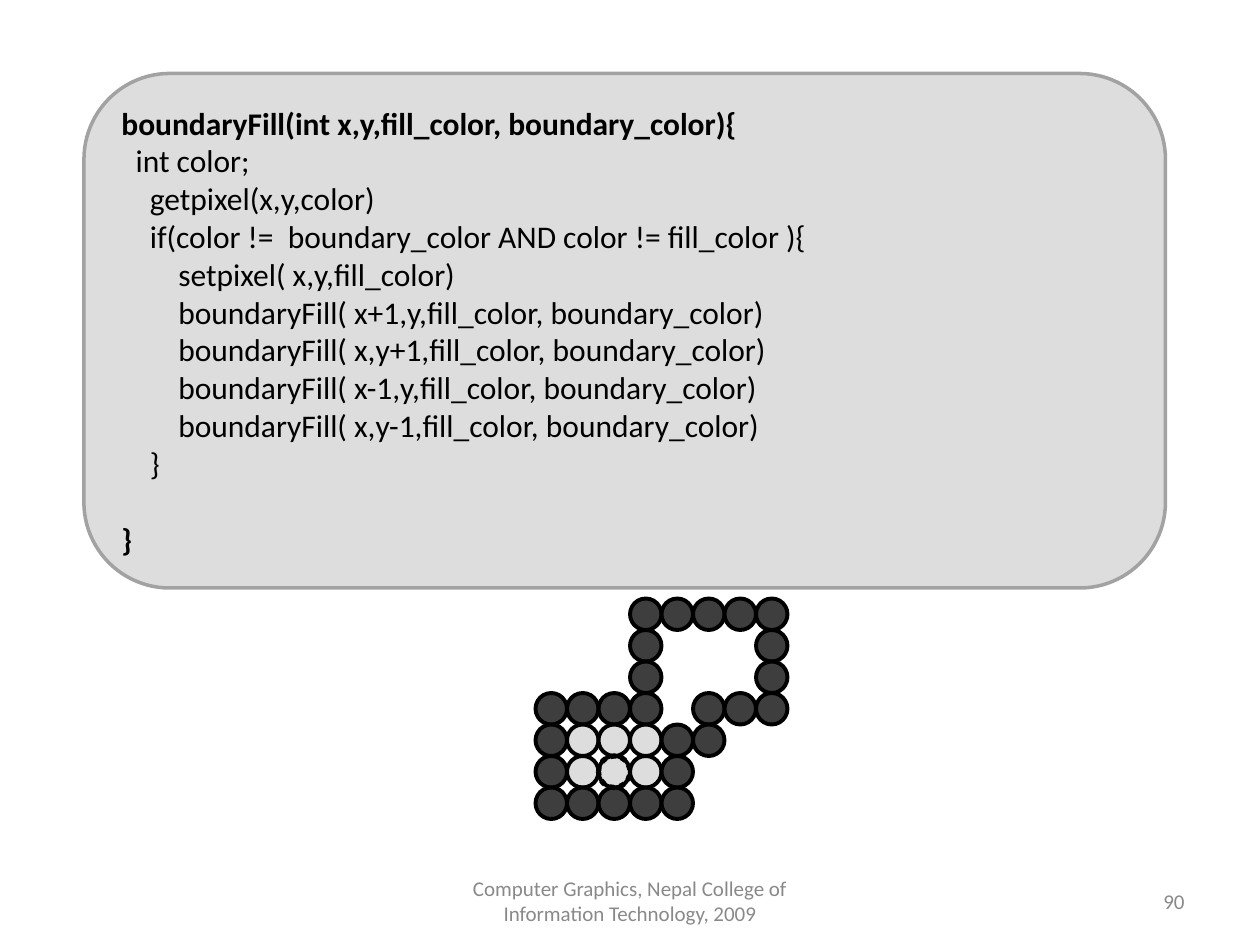
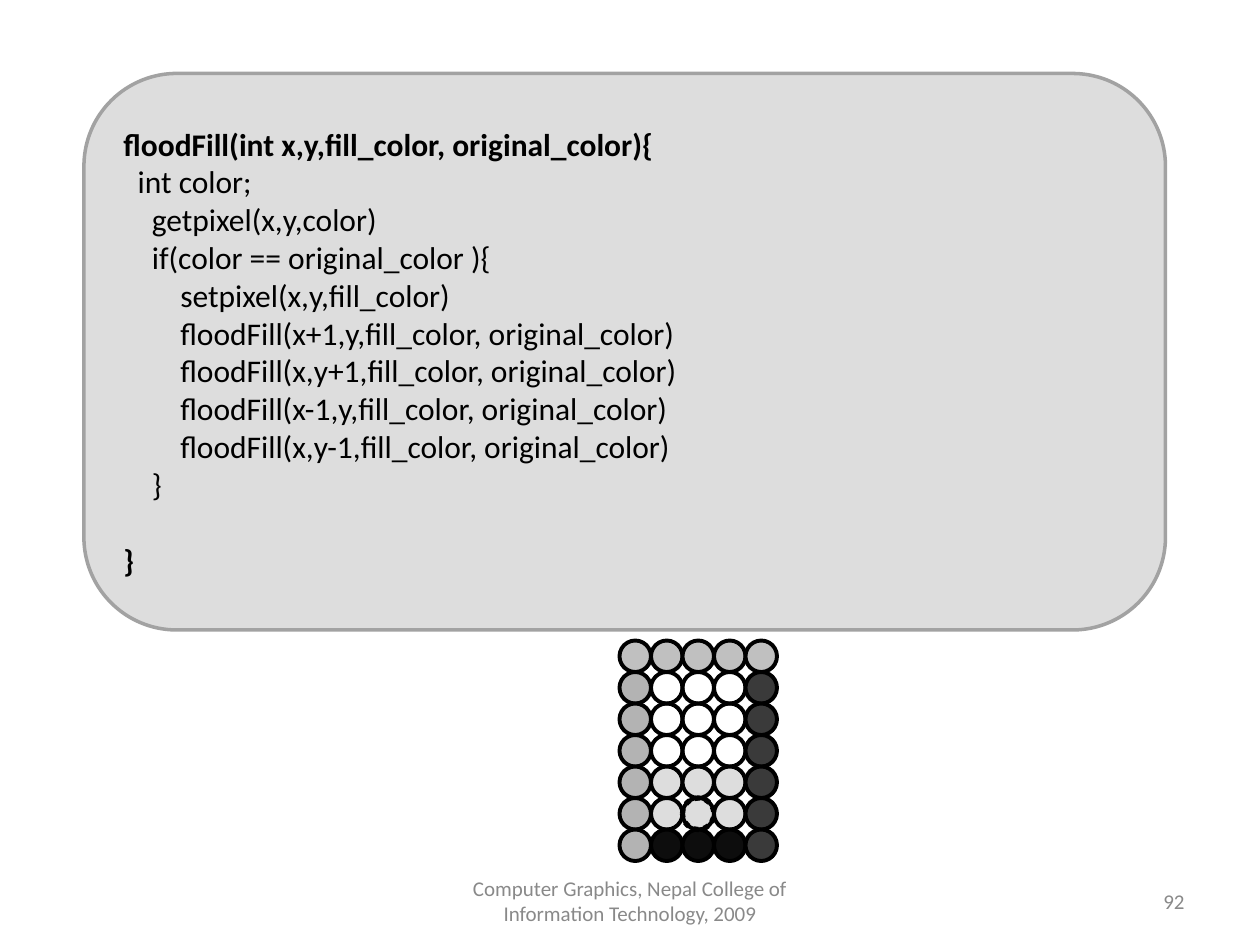
"""Build two slides on boundary fill and flood fill, each with code above a pixel grid."""
import pptx
import pptx.dml.color
import pptx.enum.dml
import pptx.enum.shapes
import pptx.enum.text
import pptx.util

FOOTER = "Computer Graphics, Nepal College of Information Technology, 2009"
SLIDES = [
    {
        "number": "90",
        "panel_height": 490,
        "code": [
            "boundaryFill(int x,y,fill_color, boundary_color){",
            "  int color;",
            "    getpixel(x,y,color)",
            "    if(color !=  boundary_color AND color != fill_color ){",
            "        setpixel( x,y,fill_color)",
            "        boundaryFill( x+1,y,fill_color, boundary_color)",
            "        boundaryFill( x,y+1,fill_color, boundary_color)",
            "        boundaryFill( x-1,y,fill_color, boundary_color)",
            "        boundaryFill( x,y-1,fill_color, boundary_color)",
            "    }",
            "}",
        ],
        "grid_origin": (510, 570),
        "grid": [
            "...#####",
            "...#...#",
            "...#...#",
            "####.###",
            "#ooo##..",
            "#ooo#...",
            "#####...",
        ],
        "seed": (2, 5),
    },
    {
        "number": "92",
        "panel_height": 530,
        "code": [
            "floodFill(int x,y,fill_color, original_color){",
            "  int color;",
            "    getpixel(x,y,color)",
            "    if(color == original_color ){",
            "        setpixel(x,y,fill_color)",
            "        floodFill(x+1,y,fill_color, original_color)",
            "        floodFill(x,y+1,fill_color, original_color)",
            "        floodFill(x-1,y,fill_color, original_color)",
            "        floodFill(x,y-1,fill_color, original_color)",
            "    }",
            "}",
        ],
        "grid_origin": (590, 610),
        "grid": [
            "ttttt",
            "leeer",
            "leeer",
            "leeer",
            "looor",
            "looor",
            "lbbbr",
        ],
        "seed": (2, 5),
    },
]
PIXEL_FILLS = {
    "#": "3E3E3E",
    "o": "DDDDDD",
    "t": "C0C0C0",
    "l": "B3B3B3",
    "r": "3A3A3A",
    "b": "0D0D0D",
    "e": None,
}
FONT = "Calibri"
BLACK, PANEL, PANEL_EDGE, MUTED = "000000", "DDDDDD", "A2A2A2", "898989"
PIXEL = 30
PX = 914400 // 120
SHAPE = pptx.enum.shapes.MSO_SHAPE
ALIGN = pptx.enum.text.PP_ALIGN


def rgb(value):
    return pptx.dml.color.RGBColor.from_string(value)


def emu(*lengths):
    return [pptx.util.Emu(length * PX) for length in lengths]


def add_shape(s, kind, box, fill, line, width):
    sp = s.shapes.add_shape(kind, *emu(*box))
    sp.shadow.inherit = False
    if fill:
        sp.fill.solid()
        sp.fill.fore_color.rgb = rgb(fill)
    else:
        sp.fill.background()
    sp.line.color.rgb = rgb(line)
    sp.line.width = pptx.util.Pt(width)
    return sp


def write(sp, lines, size, color, align):
    tf = sp.text_frame
    tf.word_wrap = True
    tf.vertical_anchor = pptx.enum.text.MSO_ANCHOR.MIDDLE
    for i, line in enumerate(lines):
        p = tf.add_paragraph() if i else tf.paragraphs[0]
        p.text = line
        p.alignment = align
        p.font.name = FONT
        p.font.size = pptx.util.Pt(size)
        p.font.color.rgb = rgb(color)
    return tf


def add_code(s, code, height):
    sp = add_shape(s, SHAPE.ROUNDED_RECTANGLE, (80, 70, 1030, height), PANEL, PANEL_EDGE, 2)
    tf = write(sp, code, 18, BLACK, ALIGN.LEFT)
    first, last = tf.paragraphs[0], tf.paragraphs[-1]
    first.font.bold = last.font.bold = True
    last.space_before = pptx.util.Pt(22)


def add_footer(s, number):
    for text, left, width, align in (
        (FOOTER, 410, 380, ALIGN.CENTER),
        (number, 860, 280, ALIGN.RIGHT),
    ):
        sp = s.shapes.add_textbox(*emu(left, 834, width, 48))
        write(sp, [text], 12, MUTED, align)


def add_grid(s, grid, origin, seed):
    def add_pixel(col, row, fill, width):
        box = (origin[0] + col * PIXEL, origin[1] + row * PIXEL, PIXEL, PIXEL)
        return add_shape(s, SHAPE.OVAL, box, fill, BLACK, width)

    for row, cells in enumerate(grid):
        for col, cell in enumerate(cells):
            if cell in PIXEL_FILLS:
                add_pixel(col, row, PIXEL_FILLS[cell], 2.25)
    sp = add_pixel(*seed, None, 3)
    sp.line.dash_style = pptx.enum.dml.MSO_LINE.ROUND_DOT


def main():
    prs = pptx.Presentation()
    prs.slide_width, prs.slide_height = emu(1200, 900)
    for content in SLIDES:
        s = prs.slides.add_slide(prs.slide_layouts[6])
        add_code(s, content["code"], content["panel_height"])
        add_footer(s, content["number"])
        add_grid(s, content["grid"], content["grid_origin"], content["seed"])
    prs.save("out.pptx")


if __name__ == "__main__":
    main()
